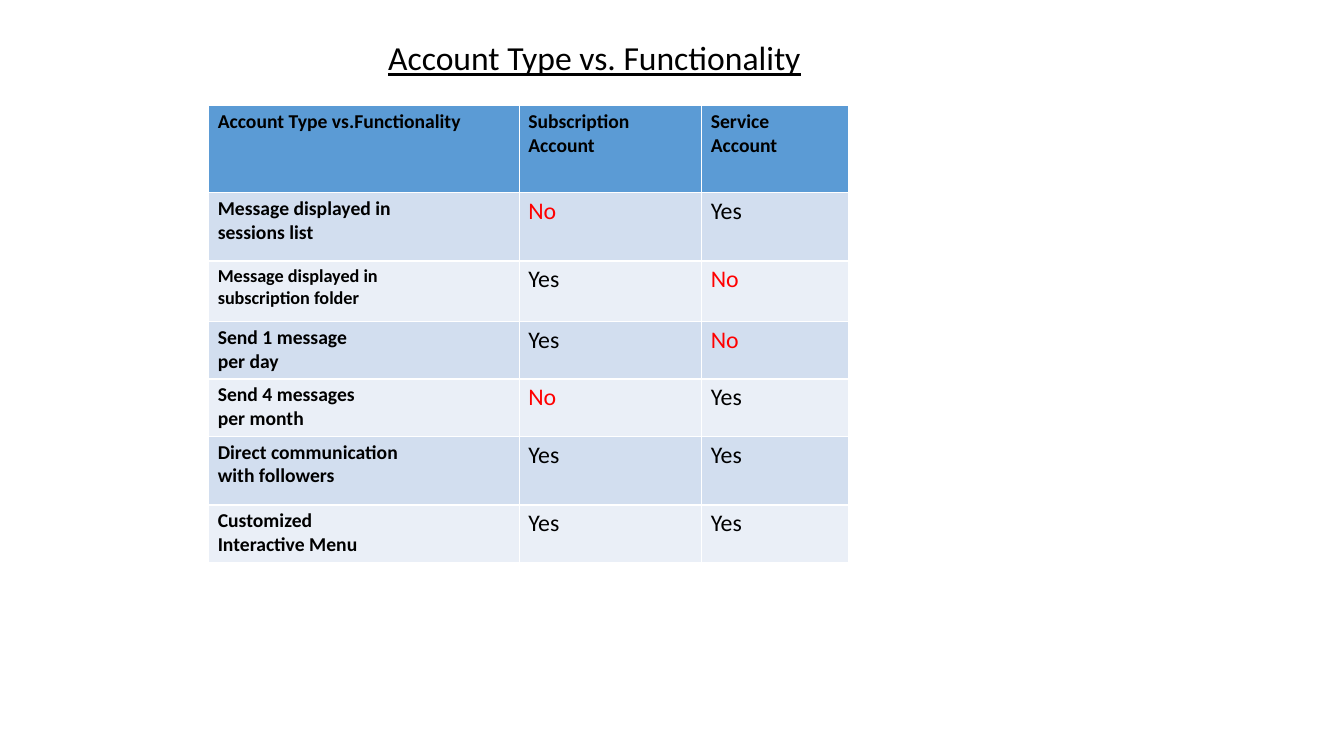
from pptx import Presentation
from pptx.dml.color import RGBColor
from pptx.enum.text import MSO_ANCHOR, MSO_AUTO_SIZE, PP_ALIGN
from pptx.util import Inches, Pt

BLACK = RGBColor(0x00, 0x00, 0x00)
RED = RGBColor(0xFF, 0x00, 0x00)
HEADER_BLUE = RGBColor(0x5B, 0x9B, 0xD5)
BAND_DARK = RGBColor(0xD2, 0xDE, 0xEF)
BAND_LIGHT = RGBColor(0xEA, 0xEF, 0xF7)

FONT = "Calibri"
COLUMN_WIDTHS = [3.08, 1.81, 1.46]
ROW_HEIGHTS = [0.86, 0.68, 0.6, 0.57, 0.57, 0.68, 0.57]
FEATURES = [
    ("Account Type vs.Functionality", "Subscription Account", "Service\vAccount"),
    ("Message displayed in\nsessions list", "No", "Yes"),
    ("Message displayed in\vsubscription folder", "Yes", "No"),
    ("Send 1 message\nper day", "Yes", "No"),
    ("Send 4 messages\nper month", "No", "Yes"),
    ("Direct communication\nwith followers", "Yes", "Yes"),
    ("Customized\nInteractive Menu", "Yes", "Yes"),
]
SMALL_LABEL_ROW = 2


def format_text(frame, size, color=BLACK, bold=False, underline=False):
    for paragraph in frame.paragraphs:
        for run in paragraph.runs:
            font = run.font
            font.name = FONT
            font.size = Pt(size)
            font.bold = bold
            font.underline = underline
            font.color.rgb = color


def place_title(slide, left, top, width, height):
    title = slide.shapes.title
    title.left, title.top = Inches(left), Inches(top)
    title.width, title.height = Inches(width), Inches(height)
    frame = title.text_frame
    frame.text = "Account Type vs. Functionality"
    frame.word_wrap = True
    frame.auto_size = MSO_AUTO_SIZE.NONE
    frame.vertical_anchor = MSO_ANCHOR.TOP
    frame.paragraphs[0].alignment = PP_ALIGN.LEFT
    format_text(frame, 24, underline=True)


def fill_cell(cell, text, row, column):
    cell.margin_left = cell.margin_right = Inches(0.09)
    cell.margin_top = cell.margin_bottom = Inches(0.04)
    cell.fill.solid()
    if row == 0:
        cell.fill.fore_color.rgb = HEADER_BLUE
    else:
        cell.fill.fore_color.rgb = BAND_DARK if row % 2 else BAND_LIGHT
    cell.text_frame.text = text
    if row == 0 or column == 0:
        size = 13 if row == SMALL_LABEL_ROW else 14
        format_text(cell.text_frame, size, bold=True)
    else:
        format_text(cell.text_frame, 17, RED if text == "No" else BLACK)


def place_feature_table(slide, left, top, width, height):
    features = slide.shapes.add_table(
        len(ROW_HEIGHTS), len(COLUMN_WIDTHS),
        Inches(left), Inches(top), Inches(width), Inches(height),
    ).table
    for column, column_width in zip(features.columns, COLUMN_WIDTHS):
        column.width = Inches(column_width)
    for row, row_height in zip(features.rows, ROW_HEIGHTS):
        row.height = Inches(row_height)
    for row, texts in enumerate(FEATURES):
        for column, text in enumerate(texts):
            fill_cell(features.cell(row, column), text, row, column)


def main():
    deck = Presentation()
    deck.slide_width, deck.slide_height = Inches(13.33), Inches(7.5)
    slide = deck.slides.add_slide(deck.slide_layouts[5])
    place_feature_table(slide, 2.07, 1.05, sum(COLUMN_WIDTHS), sum(ROW_HEIGHTS))
    place_title(slide, 3.75, 0.32, 4.79, 0.91)
    deck.save("out.pptx")


if __name__ == "__main__":
    main()
